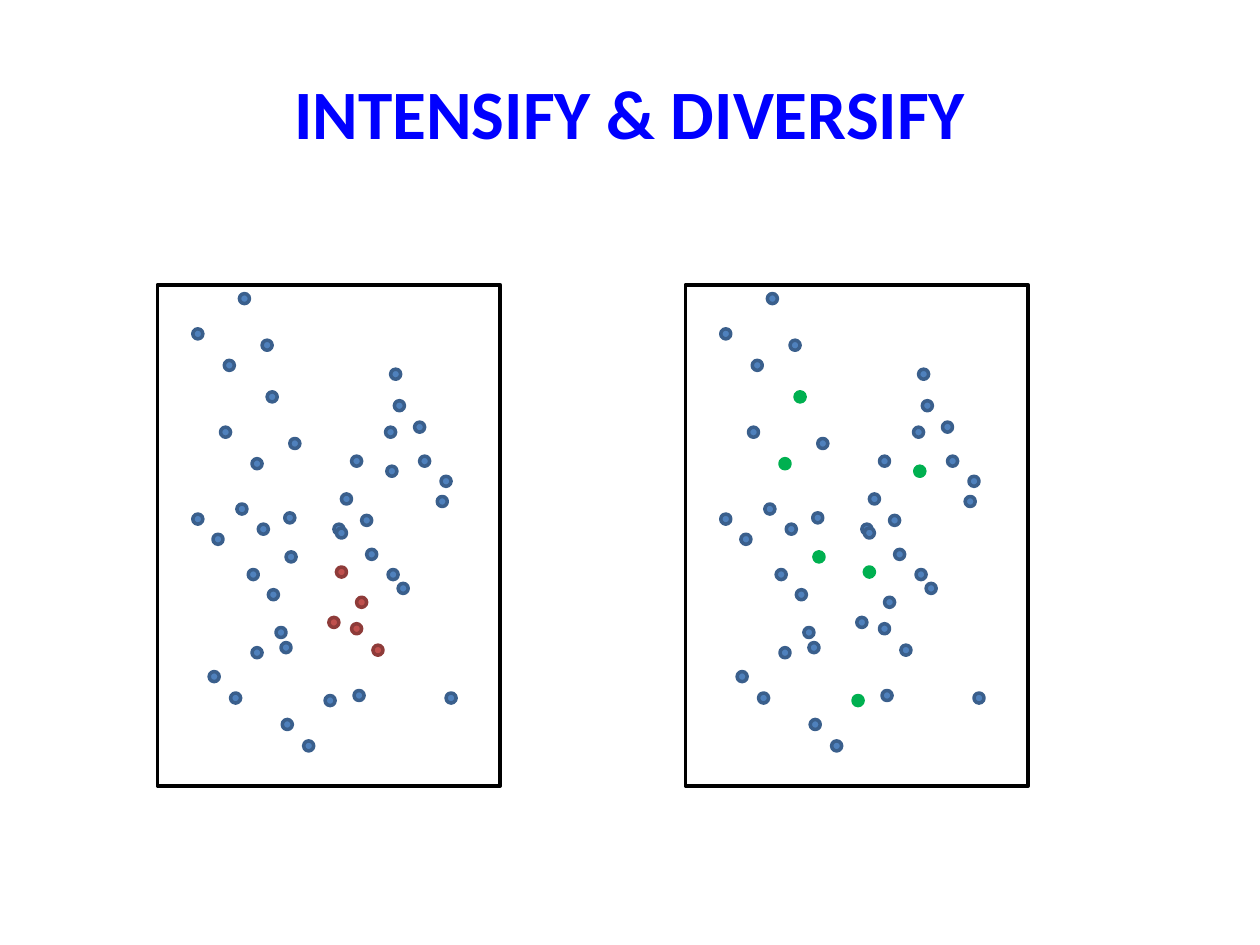
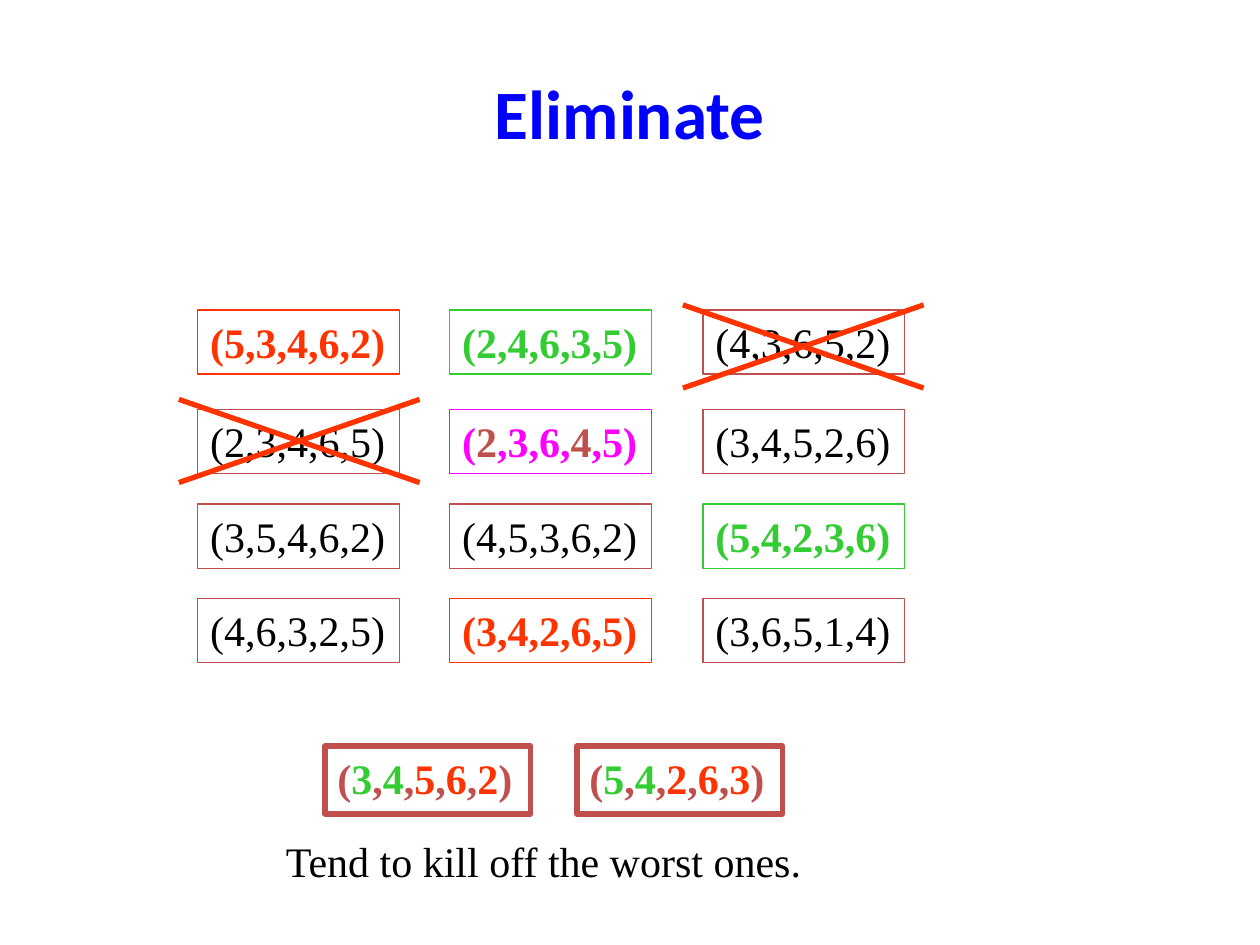
from dataclasses import dataclass, field
from itertools import groupby

import lxml.etree
import pptx
import pptx.dml.color
import pptx.enum.shapes
import pptx.enum.text
import pptx.oxml.ns
import pptx.shapes.autoshape
import pptx.slide
import pptx.text.text
import pptx.util

Inches = pptx.util.Inches
Pt = pptx.util.Pt
RGBColor = pptx.dml.color.RGBColor
MSO_SHAPE = pptx.enum.shapes.MSO_SHAPE

TITLE_BLUE = RGBColor(0x00, 0x00, 0xFF)
BLACK = RGBColor(0x00, 0x00, 0x00)
BLUE = RGBColor(0x4F, 0x81, 0xBD)
DARK_BLUE = RGBColor(0x3A, 0x5F, 0x8C)
BRICK = RGBColor(0xC0, 0x50, 0x4D)
DARK_BRICK = RGBColor(0x8E, 0x3B, 0x39)
LEAF = RGBColor(0x00, 0xB0, 0x50)
ORANGE = RGBColor(0xFF, 0x33, 0x00)
GREEN = RGBColor(0x33, 0xCC, 0x33)
MAGENTA = RGBColor(0xFF, 0x00, 0xFF)

TITLE_FONT = "Calibri"
BODY_FONT = "Times New Roman"
TITLE_ONLY_LAYOUT = 5

Point = tuple[float, float]

# Dot positions, measured on the slide for the left panel.
ORDINARY_DOTS: list[Point] = [
    (1.75, 3.39), (2.3, 3.48), (1.88, 4), (1.97, 4.52), (1.53, 4.08), (2.71, 3.92),
    (2.91, 4.36), (2.79, 3.62), (2.19, 4.98), (3.16, 4.63), (2.23, 5.1), (2.26, 4.07),
    (1.66, 5.33), (2.05, 4.16), (2.13, 4.68), (1.69, 4.24), (2.87, 4.09), (3.08, 4.52),
    (2, 5.14), (1.83, 5.5), (3.13, 3.18), (3.33, 3.62), (3.1, 2.93), (3.47, 3.94),
    (3.29, 3.35), (3.5, 3.78), (3.06, 3.39), (1.53, 2.61), (2.08, 2.7), (1.78, 2.86),
    (1.9, 2.33), (2.81, 5.48), (2.24, 5.71), (3.54, 5.5), (2.41, 5.88), (2.65, 4.16),
    (2.67, 4.19),
]
SHARED_DOT: Point = (2.67, 4.5)
CLUSTERED_DOTS: list[Point] = [(2.79, 4.95), (2.61, 4.9), (2.96, 5.12), (2.83, 4.74)]
SCATTERED_DOTS: list[Point] = [(2.58, 5.52), (2, 3.64), (2.12, 3.11), (2.27, 4.38), (3.07, 3.7)]
ALL_DOTS = ORDINARY_DOTS + CLUSTERED_DOTS + SCATTERED_DOTS + [SHARED_DOT]

PANEL_LEFT, PANEL_TOP = 1.25, 2.26
PANEL_WIDTH, PANEL_HEIGHT = 2.72, 3.98
PANEL_STEP = 4.19
DOT_SIZE = 0.08


@dataclass(frozen=True)
class Panel:
    shift: float
    chosen: list[Point]
    fill: RGBColor
    line: RGBColor


@dataclass(frozen=True)
class Solution:
    """A bracketed tuple; highlights maps a digit's index to its colour."""
    digits: str
    colour: RGBColor = BLACK
    highlights: dict[int, RGBColor] = field(default_factory=dict)


PANELS = [
    Panel(0, CLUSTERED_DOTS + [SHARED_DOT], BRICK, DARK_BRICK),
    Panel(PANEL_STEP, SCATTERED_DOTS + [SHARED_DOT], LEAF, LEAF),
]

COLUMN_LEFTS = [1.57, 3.57, 5.58]
ROW_TOPS = [2.46, 3.25, 4, 4.75]
POPULATION = [
    [Solution("53462", ORANGE), Solution("24635", GREEN), Solution("43652")],
    [Solution("23465"), Solution("23645", MAGENTA, {0: BRICK, 3: BRICK}), Solution("34526")],
    [Solution("35462"), Solution("45362"), Solution("54236", GREEN)],
    [Solution("46325"), Solution("34265", ORANGE), Solution("36514")],
]
INHERITED = dict(enumerate([GREEN, GREEN, ORANGE, ORANGE, ORANGE]))
OFFSPRING = [Solution("34562", BRICK, INHERITED), Solution("54263", BRICK, INHERITED)]
CROSSES: list[Point] = [(1.42, 3.17), (5.42, 2.42)]
CROSS_WIDTH, CROSS_HEIGHT = 1.91, 0.66


def add_titled_page(deck: pptx.presentation.Presentation, text: str) -> pptx.slide.Slide:
    page = deck.slides.add_slide(deck.slide_layouts[TITLE_ONLY_LAYOUT])
    title = page.shapes.title
    title.left, title.top = Inches(0.5), Inches(0.5)
    title.width, title.height = Inches(9), Inches(0.78)
    title.text_frame.text = text
    title.text_frame.vertical_anchor = pptx.enum.text.MSO_ANCHOR.MIDDLE
    para = title.text_frame.paragraphs[0]
    para.alignment = pptx.enum.text.PP_ALIGN.CENTER
    style_span(para.runs[0], TITLE_BLUE, True, TITLE_FONT, 39.6)
    return page


def style_span(span: pptx.text.text._Run, colour: RGBColor, bold: bool = False,
               font: str = BODY_FONT, size: float = 24) -> None:
    span.font.name = font
    span.font.size = Pt(size)
    span.font.bold = bold
    span.font.color.rgb = colour


def outline(shape: pptx.shapes.autoshape.Shape, colour: RGBColor, width: float) -> None:
    shape.line.color.rgb = colour
    shape.line.width = Pt(width)


def add_panel(page: pptx.slide.Slide, panel: Panel) -> None:
    shapes = page.shapes.add_group_shape().shapes
    frame = shapes.add_shape(
        MSO_SHAPE.RECTANGLE, Inches(PANEL_LEFT + panel.shift), Inches(PANEL_TOP),
        Inches(PANEL_WIDTH), Inches(PANEL_HEIGHT))
    frame.shadow.inherit = False
    frame.fill.background()
    outline(frame, BLACK, 2)
    for left, top in ALL_DOTS:
        chosen = (left, top) in panel.chosen
        dot = shapes.add_shape(MSO_SHAPE.OVAL, Inches(left + panel.shift), Inches(top),
                               Inches(DOT_SIZE), Inches(DOT_SIZE))
        dot.shadow.inherit = False
        dot.fill.solid()
        dot.fill.fore_color.rgb = panel.fill if chosen else BLUE
        outline(dot, panel.line if chosen else DARK_BLUE, 2)


def add_text_box(page: pptx.slide.Slide, left: float, top: float,
                 width: float, height: float) -> pptx.shapes.autoshape.Shape:
    box = page.shapes.add_textbox(Inches(left), Inches(top), Inches(width), Inches(height))
    box.text_frame.word_wrap = False
    box.text_frame.auto_size = pptx.enum.text.MSO_AUTO_SIZE.SHAPE_TO_FIT_TEXT
    return box


def coloured_characters(solution: Solution) -> list[tuple[str, RGBColor]]:
    characters = [("(", solution.colour)]
    for index, digit in enumerate(solution.digits):
        if index:
            characters.append((",", solution.colour))
        characters.append((digit, solution.highlights.get(index, solution.colour)))
    return characters + [(")", solution.colour)]


def add_solution(page: pptx.slide.Slide, solution: Solution, left: float, top: float,
                 width: float = 1.6, height: float = 0.51, border: float = 0.75) -> None:
    box = add_text_box(page, left, top, width, height)
    plain = solution.colour == BLACK
    outline(box, BRICK if plain else solution.colour, border)
    para = box.text_frame.paragraphs[0]
    for colour, characters in groupby(coloured_characters(solution), key=lambda pair: pair[1]):
        span = para.add_run()
        span.text = "".join(character for character, _ in characters)
        style_span(span, colour, bold=not plain)


def add_cross(page: pptx.slide.Slide, left: float, top: float) -> None:
    bottom = top + CROSS_HEIGHT
    for start, end in [(top, bottom), (bottom, top)]:
        stroke = page.shapes.add_connector(
            pptx.enum.shapes.MSO_CONNECTOR.STRAIGHT, Inches(left), Inches(start),
            Inches(left + CROSS_WIDTH), Inches(end))
        outline(stroke, ORANGE, 3)
        lxml.etree.SubElement(stroke._element.spPr, pptx.oxml.ns.qn("a:effectLst"))


def add_intensify_page(deck: pptx.presentation.Presentation) -> None:
    page = add_titled_page(deck, "INTENSIFY & DIVERSIFY")
    for panel in PANELS:
        add_panel(page, panel)


def add_eliminate_page(deck: pptx.presentation.Presentation) -> None:
    page = add_titled_page(deck, "Eliminate")
    for top, row in zip(ROW_TOPS, POPULATION):
        for left, solution in zip(COLUMN_LEFTS, row):
            add_solution(page, solution, left, top)
    for left, top in CROSSES:
        add_cross(page, left, top)
    caption = add_text_box(page, 2.17, 6.58, 4.32, 0.5)
    caption.text_frame.text = "Tend to kill off the worst ones."
    style_span(caption.text_frame.paragraphs[0].runs[0], BLACK)
    for index, solution in enumerate(OFFSPRING):
        add_solution(page, solution, 2.58 + 2 * index, 5.92, 1.63, 0.54, border=3)


def main() -> None:
    deck = pptx.Presentation()
    deck.slide_width, deck.slide_height = Inches(10), Inches(7.5)
    add_intensify_page(deck)
    add_eliminate_page(deck)
    deck.save("out.pptx")


if __name__ == "__main__":
    main()
